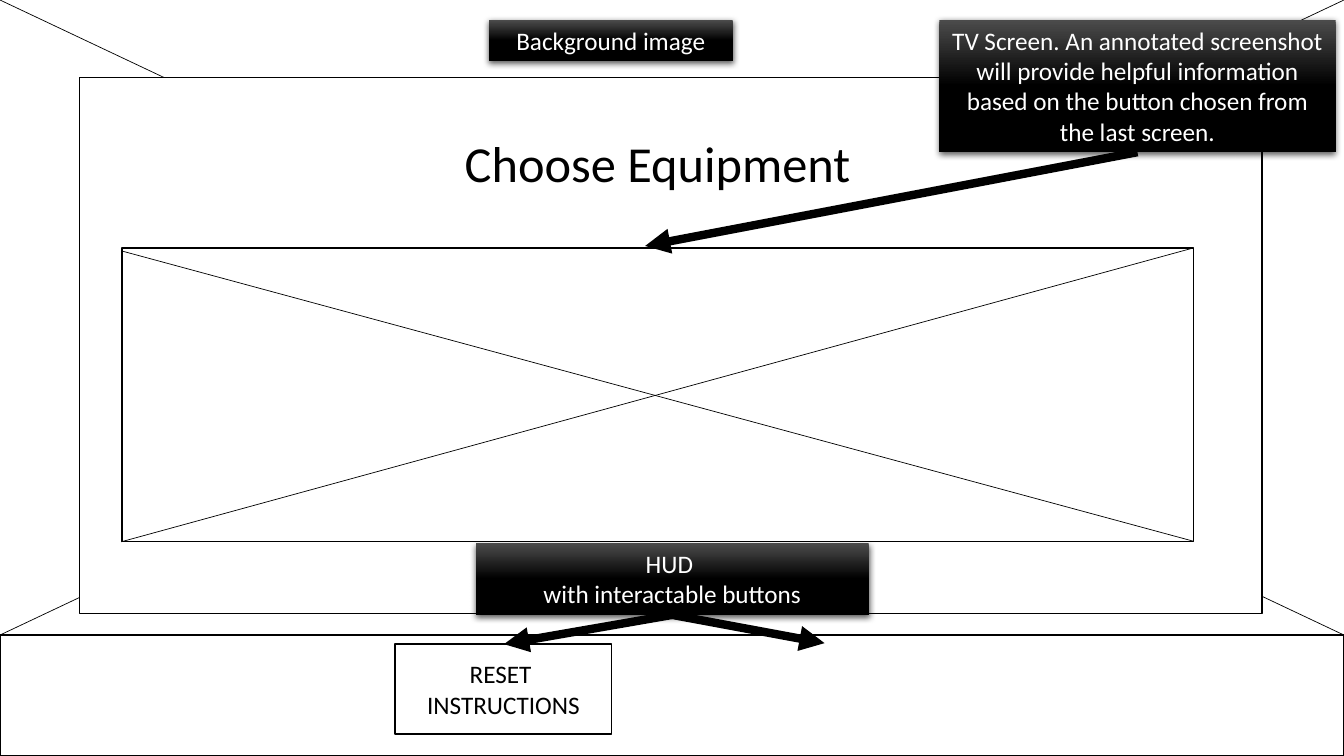
"""Build the equipment screen wireframe slide."""
from copy import deepcopy
from lxml import etree
from pptx import Presentation
from pptx.dml.color import RGBColor
from pptx.enum.shapes import MSO_CONNECTOR, MSO_SHAPE
from pptx.enum.text import MSO_ANCHOR, MSO_AUTO_SIZE, PP_ALIGN
from pptx.oxml.ns import qn
from pptx.util import Pt

RECT, LINE = MSO_SHAPE.RECTANGLE, MSO_CONNECTOR.STRAIGHT
TOP, MIDDLE = MSO_ANCHOR.TOP, MSO_ANCHOR.MIDDLE
CENTER, GROW = PP_ALIGN.CENTER, MSO_AUTO_SIZE.SHAPE_TO_FIT_TEXT
BLACK, WHITE, GRAY = "000000", "FFFFFF", "4B4B4B"
WIDE, HIGH, FLOOR = 960, 540, 453.6

WALL = (57, 55.4, 844.5, 383)
DESK = (0, FLOOR, WIDE, HIGH - FLOOR)
RESET = (282.2, 460.1, 154.8, 64.1)
SCREEN = (87.1, 177.1, 765.4, 209.5)
TITLE = (179.3, 71.3, 581, 89.3)
BACK = (349.2, 14.4, 174.2, 29.1)
HUD = (339.8, 388.1, 280.8, 51.1)
TV = (671, 14.4, 283, 94.3)
TV_TEXT = ("TV Screen. An annotated screenshot will provide helpful information "
           "based on the button chosen from the last screen.")


def color(code):
    return RGBColor.from_string(code)


def write(shape, text, size, ink, anchor):
    frame = shape.text_frame
    frame.word_wrap = True
    frame.text = text
    frame.vertical_anchor = anchor
    for para in frame.paragraphs:
        para.alignment = CENTER
        for run in para.runs:
            run.font.name, run.font.size = "Calibri", Pt(size)
            run.font.color.rgb = color(ink)


def rect(area):
    shape = slide.shapes.add_shape(RECT, *map(Pt, area))
    shape.shadow.inherit = False
    shape.line.fill.background()
    return shape


def panel(area, text="", size=18, edge=True):
    shape = rect(area)
    shape.fill.solid()
    shape.fill.fore_color.rgb = color(WHITE)
    if edge:
        shape.line.color.rgb = color(BLACK)
        shape.line.width = Pt(1)
    if text:
        write(shape, text, size, BLACK, MIDDLE)


def label(area, text):
    shape = rect(area)
    fill = shape.fill
    fill.gradient()
    fill.gradient_angle = 270
    for stop, place, code in zip(fill.gradient_stops, (0, 0.5), (GRAY, BLACK)):
        stop.position = place
        stop.color.rgb = color(code)
    props = shape._element.spPr
    stops = props.find(".//" + qn("a:gsLst"))
    stops.append(deepcopy(stops[-1]))
    stops[-1].set("pos", "100000")
    shadow = etree.SubElement(
        props.find(qn("a:effectLst")), qn("a:outerShdw"), blurRad=str(Pt(4.5)),
        dist=str(Pt(1.5)), dir="5400000", rotWithShape="0")
    tint = etree.SubElement(shadow, qn("a:srgbClr"), val=BLACK)
    etree.SubElement(tint, qn("a:alpha"), val="63000")
    write(shape, text, 18, WHITE, TOP)
    shape.text_frame.auto_size = GROW


def line(start, end, width=0.5):
    link = slide.shapes.add_connector(LINE, *map(Pt, start + end))
    link.line.color.rgb = color(BLACK)
    link.line.width = Pt(width)
    etree.SubElement(link._element.spPr, qn("a:effectLst"))
    return link


def arrow(area, end):
    left, top, width, height = area
    link = line((left + width / 2, top + height), end, 6)
    etree.SubElement(link.line._get_or_add_ln(), qn("a:tailEnd"), type="triangle")


deck = Presentation()
deck.slide_width, deck.slide_height = Pt(WIDE), Pt(HIGH)
slide = deck.slides.add_slide(deck.slide_layouts[6])

line((0, FLOOR), (WIDE, 0))
line((0, 0), (WIDE, FLOOR))
panel(WALL)
label(BACK, "Background image")
panel(DESK)
panel(RESET, "RESET \nINSTRUCTIONS")
label(HUD, "HUD \nwith interactable buttons")
for tip in ((360, 460.1), (589, 459.4)):
    arrow(HUD, tip)
panel(SCREEN)
panel(TITLE, "Choose Equipment", 36, edge=False)
line((86.6, 387), (852.5, 177.1))
line((87.1, 179.3), (852.5, 386.6))
label(TV, TV_TEXT)
arrow(TV, (460.8, 175.7))
deck.save("out.pptx")
